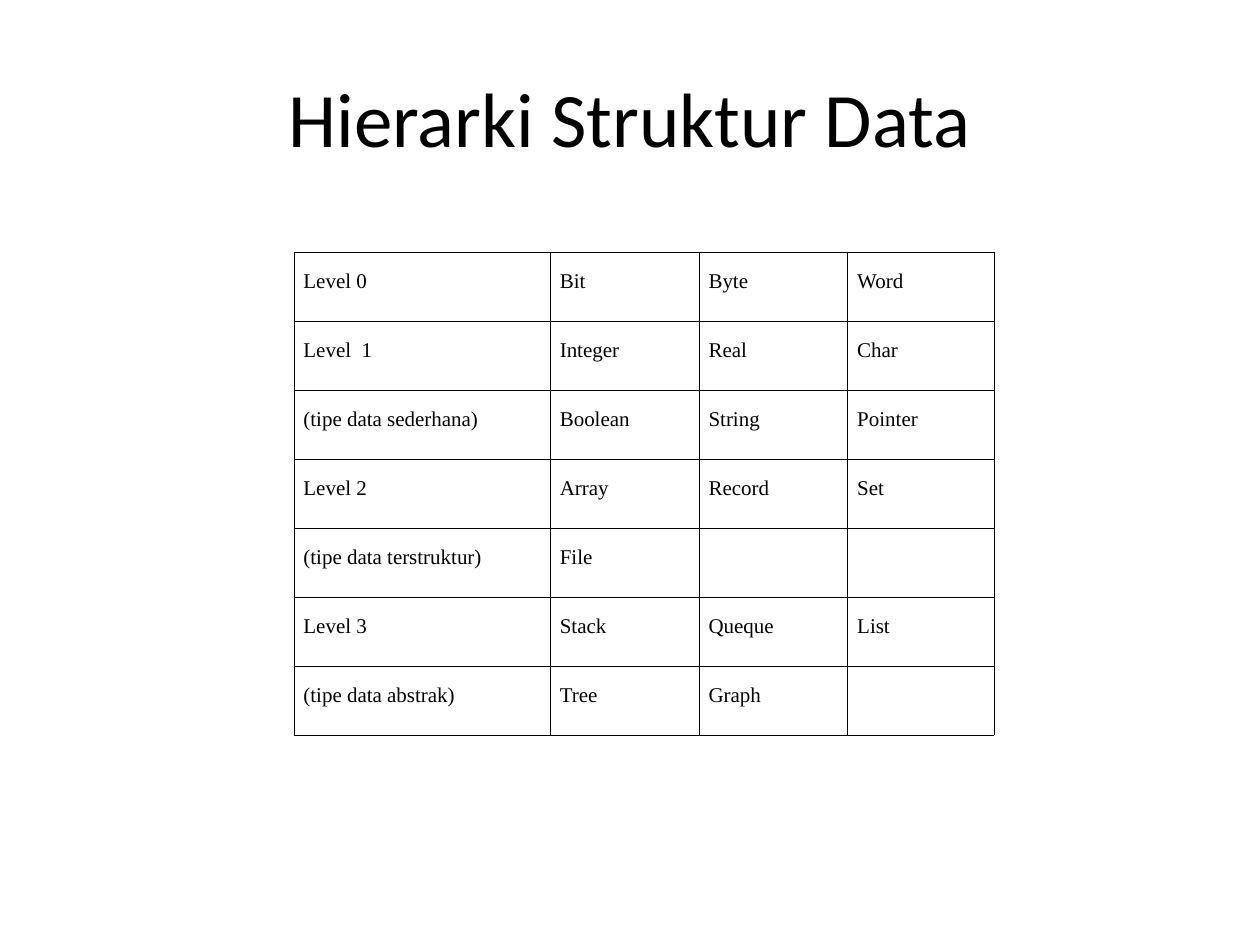
from dataclasses import dataclass

from lxml import etree
from pptx import Presentation
from pptx.dml import color
from pptx.enum import text
from pptx.oxml import ns
from pptx.util import Pt


@dataclass(frozen=True)
class Theme:
    ink: str = "000000"
    title_font: str = "Calibri"
    title_size: float = 44
    body_font: str = "Times New Roman"
    body_size: float = 12
    border_width: float = 0.45


theme = Theme()


def set_font(paragraph, name, size):
    paragraph.font.name = name
    paragraph.font.size = Pt(size)
    paragraph.font.color.rgb = color.RGBColor.from_string(theme.ink)


def add_borders(cell):
    properties = cell._tc.get_or_add_tcPr()
    for side in ("lnL", "lnR", "lnT", "lnB"):
        line = etree.SubElement(properties, ns.qn(f"a:{side}"), w=str(Pt(theme.border_width)))
        fill = etree.SubElement(line, ns.qn("a:solidFill"))
        etree.SubElement(fill, ns.qn("a:srgbClr"), val=theme.ink)


levels = [
    ("Level 0", "Bit", "Byte", "Word"),
    ("Level  1", "Integer", "Real", "Char"),
    ("(tipe data sederhana)", "Boolean", "String", "Pointer"),
    ("Level 2", "Array", "Record", "Set"),
    ("(tipe data terstruktur)", "File", "", ""),
    ("Level 3", "Stack", "Queque", "List"),
    ("(tipe data abstrak)", "Tree", "Graph", ""),
]
column_widths = [146.5, 85, 85, 83.5]
row_height = 39.43

presentation = Presentation()
presentation.slide_width, presentation.slide_height = Pt(720), Pt(540)
slide = presentation.slides.add_slide(presentation.slide_layouts[5])

title = slide.shapes.title
title.left, title.top, title.width, title.height = Pt(36), Pt(21.6), Pt(648), Pt(90)
title.text_frame.text = "Hierarki Struktur Data"
title.text_frame.vertical_anchor = text.MSO_ANCHOR.MIDDLE
heading = title.text_frame.paragraphs[0]
heading.alignment = text.PP_ALIGN.CENTER
set_font(heading, theme.title_font, theme.title_size)

hierarchy = slide.shapes.add_table(
    len(levels), len(column_widths), Pt(168), Pt(144),
    Pt(sum(column_widths)), Pt(row_height * len(levels)),
).table
hierarchy.first_row = False
hierarchy.horz_banding = False
for column, width in zip(hierarchy.columns, column_widths):
    column.width = Pt(width)

for row_index, level in enumerate(levels):
    hierarchy.rows[row_index].height = Pt(row_height)
    for column_index, entry in enumerate(level):
        cell = hierarchy.cell(row_index, column_index)
        add_borders(cell)
        cell.fill.background()
        cell.margin_left = cell.margin_right = Pt(5.4)
        cell.margin_top = cell.margin_bottom = Pt(3.6)
        cell.text = entry
        paragraph = cell.text_frame.paragraphs[0]
        set_font(paragraph, theme.body_font, theme.body_size)
        if entry:
            is_label = column_index == 0 and row_index > 0
            paragraph.alignment = text.PP_ALIGN.LEFT if is_label else text.PP_ALIGN.JUSTIFY
            paragraph.line_spacing = 1.5

presentation.save("out.pptx")
